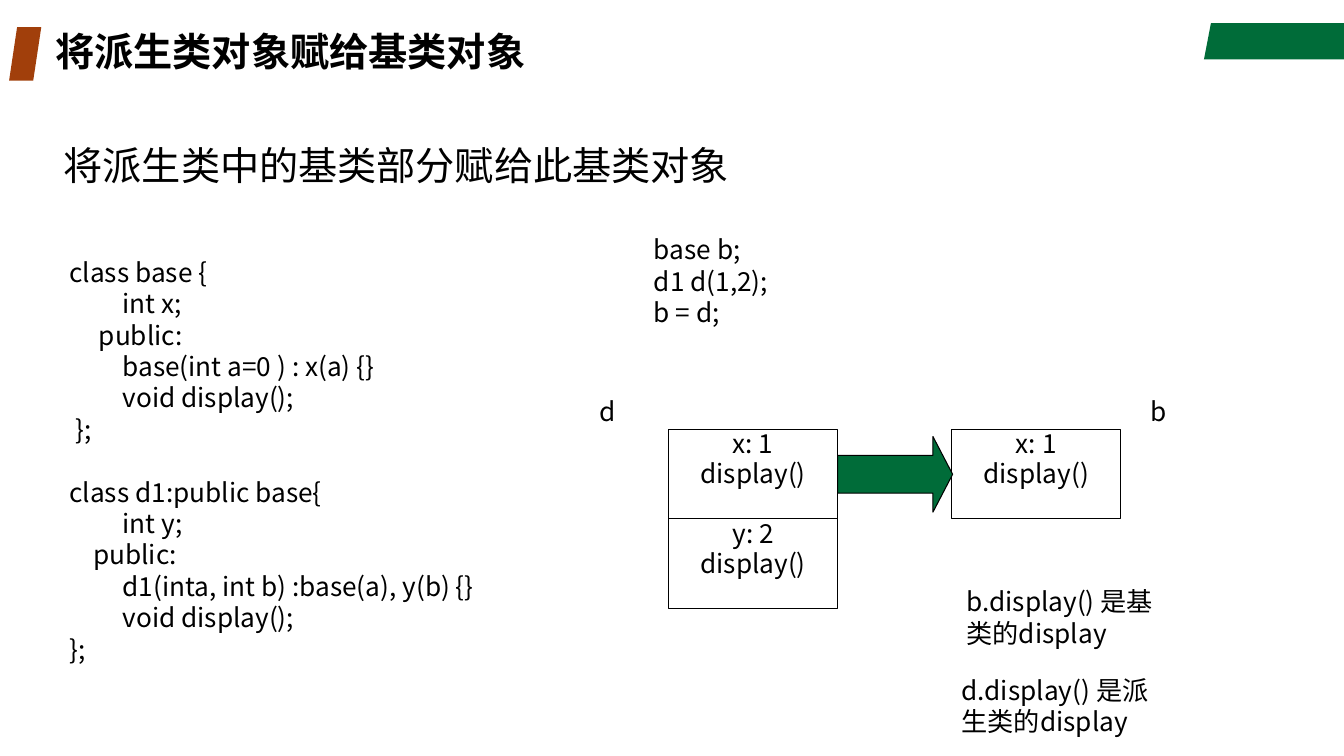
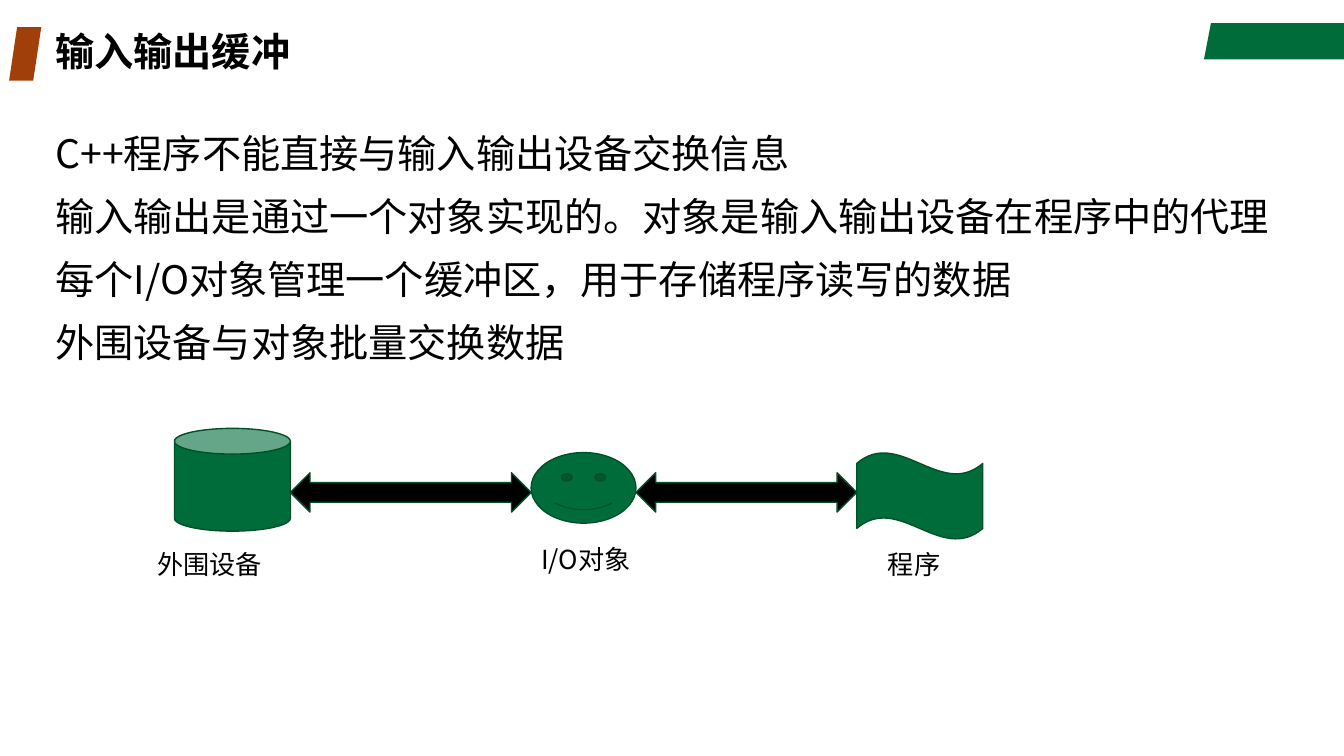
from dataclasses import dataclass

import lxml.etree
import pptx
import pptx.dml.color
import pptx.enum.shapes
import pptx.enum.text
import pptx.oxml.ns
import pptx.util

Pt = pptx.util.Pt
Shape = pptx.enum.shapes.MSO_SHAPE
Align = pptx.enum.text.PP_ALIGN
Anchor = pptx.enum.text.MSO_ANCHOR


@dataclass(frozen=True)
class Theme:
    font: str = "Noto Sans CJK SC"
    heading_size: float = 28
    label_size: float = 18.7
    ink: str = "000000"
    green: str = "006C39"
    dark_green: str = "00502A"
    rust: str = "A13F0B"


class Deck:
    def __init__(self, theme):
        self.theme = theme
        self.presentation = pptx.Presentation()
        self.presentation.slide_width = Pt(960)
        self.presentation.slide_height = Pt(540)
        self.slide = None

    def add_slide(self, title):
        layout = self.presentation.slide_layouts[1]
        self.slide = self.presentation.slides.add_slide(layout)
        self.band()
        self.shape(Shape.PARALLELOGRAM, 6.5, 19.4, 23, 38.2, fill=self.theme.rust)
        placeholder = self.slide.shapes.title
        self.place(placeholder, 32.4, 19.4, 680.4, 38.2)
        placeholder.text_frame.vertical_anchor = Anchor.MIDDLE
        self.set_text(placeholder, [title], self.theme.heading_size, spacing=0.9, bold=True)

    def band(self):
        builder = self.slide.shapes.build_freeform(Pt(865), Pt(16.5))
        corners = [(960, 16.5), (960, 42.5), (860, 42.5)]
        builder.add_line_segments([(Pt(x), Pt(y)) for x, y in corners])
        self.paint(builder.convert_to_shape(), self.theme.green)

    def body(self, lines, left, top, width, height, spacing, before):
        placeholder = self.slide.placeholders[1]
        self.place(placeholder, left, top, width, height)
        self.set_text(placeholder, lines, self.theme.heading_size, spacing=spacing)
        for paragraph in placeholder.text_frame.paragraphs:
            paragraph.space_before = Pt(before)
            self.indent(paragraph, 0)
            bullet = pptx.oxml.ns.qn("a:buNone")
            lxml.etree.SubElement(paragraph._p.get_or_add_pPr(), bullet)

    def text(self, lines, left, top, width, height, inset=None):
        box = self.slide.shapes.add_textbox(Pt(left), Pt(top), Pt(width), Pt(height))
        if inset is not None:
            self.inset(box, inset)
        self.set_text(box, lines, self.theme.label_size)
        return box

    def code(self, lines, left, top, width, height, gaps):
        box = self.text([line for line, _ in lines], left, top, width, height)
        for index, (_, indent) in enumerate(lines):
            paragraph = box.text_frame.paragraphs[index]
            self.indent(paragraph, indent)
            paragraph.space_before = Pt(gaps.get(index, 0))

    def shape(self, kind, left, top, width, height, fill=None, line=None,
              weight=1, adjustments=()):
        shape = self.slide.shapes.add_shape(kind, Pt(left), Pt(top), Pt(width), Pt(height))
        for index, value in enumerate(adjustments):
            shape.adjustments[index] = value
        self.paint(shape, fill, line, weight)
        return shape

    def cell(self, lines, left, top, width, height):
        shape = self.shape(Shape.RECTANGLE, left, top, width, height,
                           line=self.theme.ink, weight=0.75)
        self.inset(shape, 0)
        shape.text_frame.vertical_anchor = Anchor.TOP
        self.set_text(shape, lines, self.theme.label_size, Align.CENTER, 0.96)

    def set_text(self, shape, lines, size, align=Align.LEFT, spacing=1.0, bold=False):
        frame = shape.text_frame
        frame.text = "\n".join(lines)
        frame.word_wrap = True
        frame.auto_size = pptx.enum.text.MSO_AUTO_SIZE.NONE
        for paragraph in frame.paragraphs:
            paragraph.alignment = align
            paragraph.line_spacing = spacing
            for run in paragraph.runs:
                run.font.size = Pt(size)
                run.font.bold = bold
                run.font.color.rgb = self.color(self.theme.ink)
                run.font.name = self.theme.font
                east_asian = pptx.oxml.ns.qn("a:ea")
                lxml.etree.SubElement(run._r.get_or_add_rPr(), east_asian,
                                      typeface=self.theme.font)

    def paint(self, shape, fill=None, line=None, weight=1):
        shape.shadow.inherit = False
        if fill:
            shape.fill.solid()
            shape.fill.fore_color.rgb = self.color(fill)
        else:
            shape.fill.background()
        if line:
            shape.line.color.rgb = self.color(line)
            shape.line.width = Pt(weight)
        else:
            shape.line.fill.background()

    @staticmethod
    def color(value):
        return pptx.dml.color.RGBColor.from_string(value)

    @staticmethod
    def place(shape, left, top, width, height):
        shape.left, shape.top = Pt(left), Pt(top)
        shape.width, shape.height = Pt(width), Pt(height)

    @staticmethod
    def inset(shape, margin):
        frame = shape.text_frame
        frame.margin_left = frame.margin_right = Pt(margin)
        frame.margin_top = frame.margin_bottom = Pt(margin)

    @staticmethod
    def indent(paragraph, left):
        properties = paragraph._p.get_or_add_pPr()
        properties.set("marL", str(int(Pt(left))))
        properties.set("indent", "0")


def add_assignment_slide(deck):
    deck.add_slide("将派生类对象赋给基类对象")
    deck.body(["将派生类中的基类部分赋给此基类对象"], 38.2, 100.8, 815.8, 170,
              spacing=0.9, before=10)

    member = 38
    deck.code([
        ("class base {", 0),
        ("int x;", member),
        ("public:", 21),
        ("base(int a=0 ) : x(a) {}", member),
        ("void display();", member),
        ("};", 4.5),
        ("class d1:public base{", 0),
        ("int y;", member),
        ("public:", 17),
        ("d1(inta, int b) :base(a), y(b) {}", member),
        ("void display();", member),
        ("};", 0),
    ], 42.5, 179.3, 322.6, 301.7, gaps={6: 22.4})
    deck.text(["base b;", "d1 d(1,2);", "b = d;"], 460, 163.4, 172.8, 97.9)

    width, height, top = 121, 64, 306.7
    derived_left, base_left = 477.4, 679.7
    for left, row, value in [(derived_left, 0, "x: 1"), (derived_left, 1, "y: 2"),
                             (base_left, 0, "x: 1")]:
        deck.cell([value, "display()"], left, top + row * height, width, height)
    for name, left in [("d", 428.4), ("b", 821.5)]:
        deck.text([name], left, 282.2, 35.3, 61.2, inset=0)
    deck.shape(Shape.RIGHT_ARROW, derived_left + width, 311.8, 82.1, 54,
               deck.theme.green, deck.theme.ink, 0.75, (0.5, 0.26))

    for note, left, note_top in [("b.display() 是基类的display", 683.3, 414.7),
                                 ("d.display() 是派生类的display", 679.7, 478.1)]:
        deck.text([note], left, note_top, 164.2, 52.6)


def add_buffer_slide(deck):
    deck.add_slide("输入输出缓冲")
    deck.body([
        "C++程序不能直接与输入输出设备交换信息",
        "输入输出是通过一个对象实现的。对象是输入输出设备在程序中的代理",
        "每个I/O对象管理一个缓冲区，用于存储程序读写的数据",
        "外围设备与对象批量交换数据",
    ], 32.4, 85.7, 895, 113.8, spacing=1.1, before=8)

    theme = deck.theme
    nodes = [
        (Shape.CAN, 124.6, 306, 82.8, 73.4),
        (Shape.SMILEY_FACE, 379.4, 323.3, 74.9, 50.4),
        (Shape.WAVE, 612, 323.3, 90, 61.9),
    ]
    for node in nodes:
        deck.shape(*node, fill=theme.green, line=theme.dark_green)
    for source, target in zip(nodes, nodes[1:]):
        start = source[1] + source[3]
        deck.shape(Shape.LEFT_RIGHT_ARROW, start, 337.7, target[1] - start, 28.1,
                   theme.ink, theme.dark_green)
    for label, left, top, width in [("外围设备", 105.1, 388.1, 139.7),
                                    ("I/O对象", 379.4, 384.5, 127.4),
                                    ("程序", 627.1, 388.1, 105.1)]:
        deck.text([label], left, top, width, 30.2)


def main():
    deck = Deck(Theme())
    add_assignment_slide(deck)
    add_buffer_slide(deck)
    deck.presentation.save("out.pptx")


if __name__ == "__main__":
    main()
